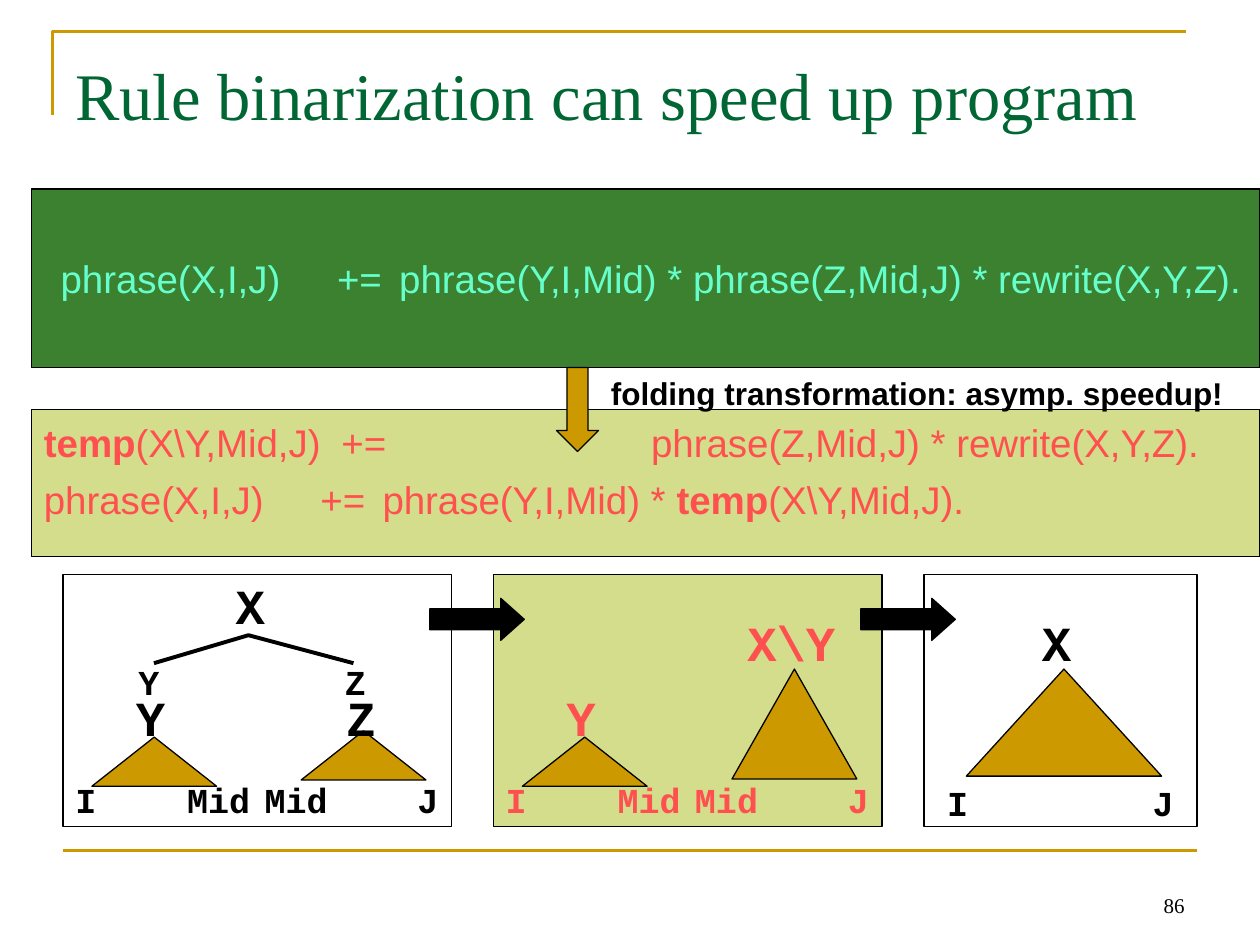
from dataclasses import dataclass

from lxml.etree import SubElement
from pptx import Presentation
from pptx.dml.color import RGBColor
from pptx.enum.shapes import MSO_CONNECTOR, MSO_SHAPE as Preset
from pptx.enum.text import MSO_ANCHOR as Anchor, MSO_AUTO_SIZE as AutoSize, PP_ALIGN as Align
from pptx.oxml.ns import qn
from pptx.util import Pt

COLORS = {
    "gold": "CC9900", "title": "006633", "black": "000000",
    "dark": "3B812F", "mint": "66FFCC", "pale": "D3DD8B", "coral": "FF5050",
}
SANS, SERIF, MONO = "Arial", "Times New Roman", "Courier New"
PANEL_TOP, PANEL_HEIGHT = 328.3, 144


@dataclass(frozen=True)
class Frame:
    left: float
    top: float
    width: float
    height: float

    def lengths(self):
        return Pt(self.left), Pt(self.top), Pt(self.width), Pt(self.height)


@dataclass(frozen=True)
class Style:
    size: float
    face: str
    color: str
    bold: bool = False


@dataclass(frozen=True)
class Label:
    """A tree symbol, placed by the centre of its box."""
    text: str
    center: float
    top: float
    size: int = 20


@dataclass(frozen=True)
class Rule:
    """A program line: (text, bold) spans and the tab stops they use."""
    spans: tuple[tuple[str, bool], ...]
    tabs: tuple[float, ...]


def rgb(name: str) -> RGBColor:
    return RGBColor.from_string(COLORS[name])


def apply_style(font, style: Style) -> None:
    font.size, font.name, font.bold = Pt(style.size), style.face, style.bold
    font.color.rgb = rgb(style.color)


def add_preset(page, preset, frame: Frame, fill: str | None,
               line_width: float = 0.75, adjustments: tuple = (), rotation: float = 0):
    shape = page.shapes.add_shape(preset, *frame.lengths())
    shape.shadow.inherit = False
    shape.rotation = rotation
    if fill:
        shape.fill.solid()
        shape.fill.fore_color.rgb = rgb(fill)
    else:
        shape.fill.background()
    shape.line.color.rgb = rgb("black")
    shape.line.width = Pt(line_width)
    for index, value in enumerate(adjustments):
        shape.adjustments[index] = value
    return shape


def add_text(page, text: str, frame: Frame, style: Style, align=Align.LEFT,
             anchor=Anchor.TOP, wrap: bool = True, top_inset: float = 3.6) -> None:
    box = page.shapes.add_textbox(*frame.lengths())
    body = box.text_frame
    body.text = text
    body.word_wrap, body.vertical_anchor = wrap, anchor
    body.margin_top = Pt(top_inset)
    if not wrap:
        body.auto_size = AutoSize.SHAPE_TO_FIT_TEXT
    para = body.paragraphs[0]
    para.alignment = align
    apply_style(para.runs[0].font, style)


def add_label(page, label: Label, panel_left: float, color: str) -> None:
    width = 0.6 * label.size * len(label.text) + 14.4
    frame = Frame(panel_left + label.center - width / 2, label.top, width, 1.2 * label.size + 7.4)
    add_text(page, label.text, frame, Style(label.size, MONO, color, True), Align.CENTER, wrap=False)


def add_polyline(page, points: list[tuple[float, float]], color: str, width: float) -> None:
    builder = page.shapes.build_freeform(*points[0], scale=float(Pt(1)))
    builder.add_line_segments(points[1:], close=False)
    shape = builder.convert_to_shape()
    shape.shadow.inherit = False
    shape.fill.background()
    shape.line.color.rgb = rgb(color)
    shape.line.width = Pt(width)


def add_rules(page, rules: list[Rule], frame: Frame, fill: str, color: str,
              left_inset: float, top_inset: float, anchor) -> None:
    box = add_preset(page, Preset.RECTANGLE, frame, fill, 1)
    body = box.text_frame
    body.word_wrap, body.vertical_anchor = True, anchor
    body.margin_left, body.margin_top = Pt(left_inset), Pt(top_inset)
    for index, rule in enumerate(rules):
        para = body.add_paragraph() if index else body.paragraphs[0]
        stops = SubElement(para._p.get_or_add_pPr(), qn("a:tabLst"))
        for stop in rule.tabs:
            SubElement(stops, qn("a:tab"), pos=str(Pt(stop)), algn="l")
        para.alignment = Align.LEFT
        if index:
            para.space_before = Pt(6)
        for text, bold in rule.spans:
            span = para.add_run()
            span.text = text
            apply_style(span.font, Style(22, SANS, color, bold))


def add_panel(page, left: float, width: float, fill: str | None) -> None:
    add_preset(page, Preset.RECTANGLE, Frame(left, PANEL_TOP, width, PANEL_HEIGHT), fill)


def add_tree_pair(page, left: float, color: str, right_triangle: Frame, extra: list[Label]) -> None:
    """Draw two neighbouring subtrees; the left one is the same in each panel."""
    for triangle in (Frame(16.5, 421.2, 71.3, 28.1), right_triangle):
        frame = Frame(left + triangle.left, triangle.top, triangle.width, triangle.height)
        add_preset(page, Preset.ISOSCELES_TRIANGLE, frame, "gold")
    ends = [Label(text, center, 441.4) for text, center in
            (("I", 13), ("Mid", 89), ("Mid", 133.2), ("J", 208.5))]
    for label in ends + [Label("Y", 50, 389.5, 28)] + extra:
        add_label(page, label, left, color)


def main() -> None:
    deck = Presentation()
    deck.slide_width, deck.slide_height = Pt(720), Pt(540)
    page = deck.slides.add_slide(deck.slide_layouts[6])

    add_polyline(page, [(30, 66), (30, 18), (678, 18)], "gold", 1.5)
    footer = page.shapes.add_connector(MSO_CONNECTOR.STRAIGHT, Pt(36), Pt(486), Pt(684), Pt(486))
    footer.line.color.rgb = rgb("gold")
    footer.line.width = Pt(1.5)
    SubElement(footer._element.spPr, qn("a:effectLst"))
    add_text(page, "86", Frame(516, 492, 168, 36), Style(12, SERIF, "black"),
             Align.RIGHT, Anchor.BOTTOM)
    add_text(page, "Rule binarization can speed up program", Frame(36, 21.6, 648, 90),
             Style(38, SERIF, "title"), top_inset=9.4)

    original_rule = Rule(
        (("phrase(X,I,J)\t+=\tphrase(Y,I,Mid) * phrase(Z,Mid,J) * rewrite(X,Y,Z).", False),),
        (158, 193.5))
    folded_rules = [
        Rule((("temp", True), ("(X\\Y,Mid,J)\t+=\tphrase(Z,Mid,J) * rewrite(X,Y,Z).", False)),
             (170, 347)),
        Rule((("phrase(X,I,J)\t+=\tphrase(Y,I,Mid) * ", False), ("temp", True),
              ("(X\\Y,Mid,J).", False)), (158, 193.5)),
    ]
    add_rules(page, [original_rule], Frame(18, 108, 702, 102), "dark", "mint",
              16.6, 3.6, Anchor.MIDDLE)
    add_rules(page, folded_rules, Frame(18, 234, 702, 84), "pale", "coral",
              7.2, 5.5, Anchor.TOP)
    add_preset(page, Preset.DOWN_ARROW, Frame(318, 210, 24, 48), "gold")
    add_text(page, "folding transformation: asymp. speedup!", Frame(342, 210, 364.3, 28.8),
             Style(18, SANS, "black", True), wrap=False)

    first, second, third = 36, 282, 528
    add_panel(page, first, 222, None)
    add_tree_pair(page, first, "black", Frame(136.1, 417.6, 71.3, 28.1), [
        Label("Z", 170.3, 389.5, 28), Label("Y", 49, 373.7), Label("Z", 167, 373.7),
        Label("X", 107, 325.4, 28)])
    add_polyline(page, [(88, 379.4), (142, 363), (201.6, 379.4)], "black", 2.25)

    add_panel(page, second, 222, "pale")
    add_tree_pair(page, second, "coral", Frame(136.3, 382.3, 71.3, 62.8),
                  [Label("X\\Y", 170.2, 346.3, 28)])

    add_panel(page, third, 156, None)
    add_preset(page, Preset.ISOSCELES_TRIANGLE, Frame(552.2, 382.3, 111.6, 61.2), "gold")
    for label in (Label("I", 19.2, 442.8), Label("J", 136.6, 442.8), Label("X", 75.7, 346.3, 28)):
        add_label(page, label, third, "black")

    for left in (260.6, 506.9):
        add_preset(page, Preset.DOWN_ARROW, Frame(left, 326.9, 24, 54), "black",
                   adjustments=(0.5, 0.56), rotation=270)

    deck.save("out.pptx")


if __name__ == "__main__":
    main()
